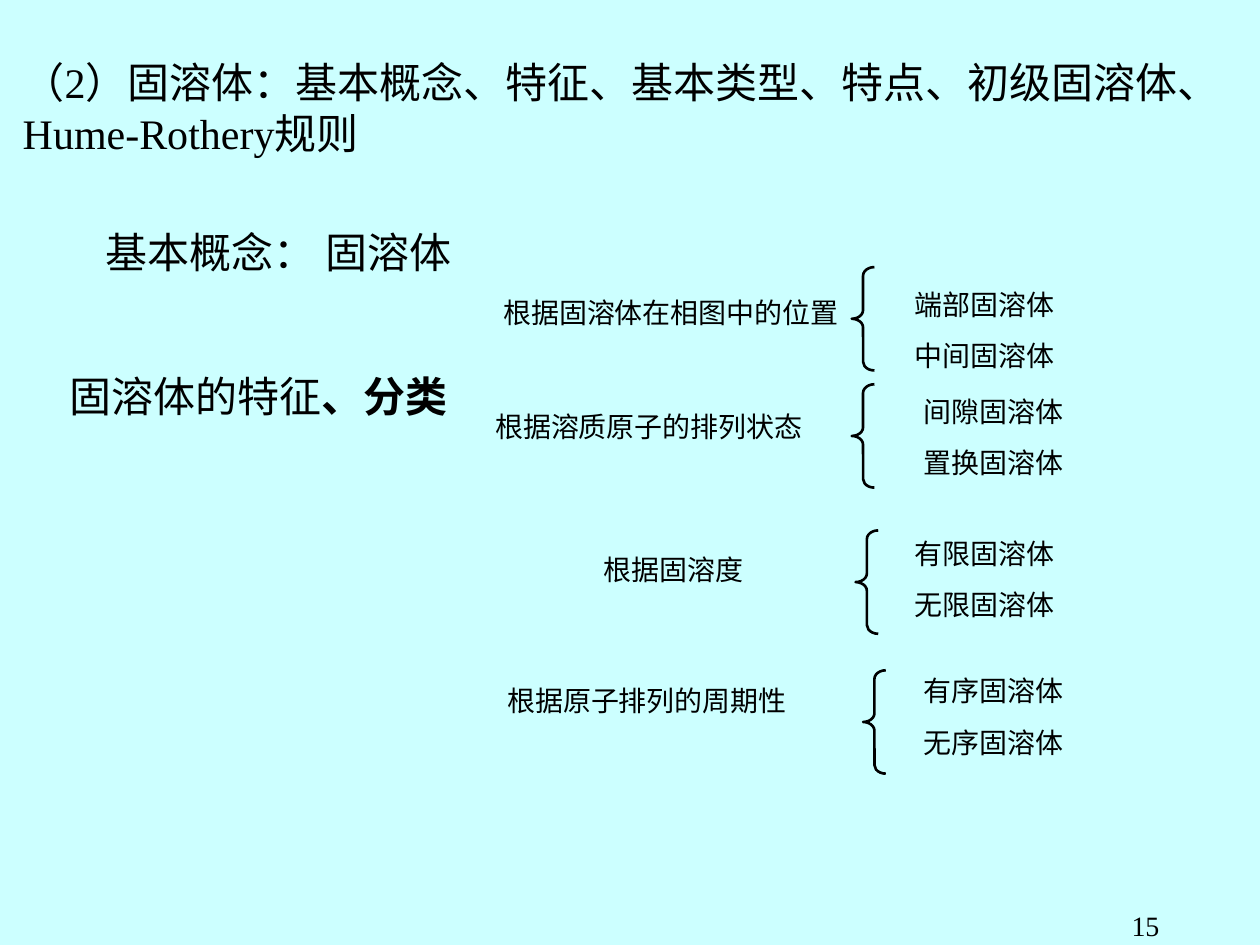
from lxml import etree
from pptx import Presentation
from pptx import util as u
from pptx.dml.color import RGBColor
from pptx.enum import shapes, text
from pptx.oxml import ns

BACKGROUND = RGBColor(0xCC, 0xFF, 0xFF)
BLACK = RGBColor(0x00, 0x00, 0x00)
SERIF = "Times New Roman"
SANS = "Noto Sans CJK SC"

HEADING = "（2）固溶体：基本概念、特征、基本类型、特点、初级固溶体、Hume-Rothery规则"
CLASSES = [
    ("根据固溶体在相图中的位置", (3.85, 2.3, 2.95), (6.76, 2.12),
     ["端部固溶体", "中间固溶体"], (6.58, 2.23, 2.47)),
    ("根据溶质原子的排列状态", (3.81, 3.2, 2.68), (6.76, 3.05),
     ["间隙固溶体", "置换固溶体"], (6.65, 3.08, 2.47)),
    ("根据固溶度", (3.85, 4.34, 2.99), (6.79, 4.21),
     ["有限固溶体", "无限固溶体"], (6.48, 4.21, 2.67)),
    ("根据原子排列的周期性", (3.65, 5.38, 2.97), (6.85, 5.32),
     ["有序固溶体", "无序固溶体"], (6.65, 5.3, 2.47)),
]


class SlideBuilder:
    def __init__(self, slide):
        self.slide = slide
        fill = slide.background.fill
        fill.solid()
        fill.fore_color.rgb = BACKGROUND

    def run(self, paragraph, words, size, font, bold=False):
        run = paragraph.add_run()
        run.text = words
        run.font.size = u.Pt(size)
        run.font.bold = bold
        run.font.color.rgb = BLACK
        run.font.name = font
        east_asian = etree.SubElement(run._r.get_or_add_rPr(), ns.qn("a:ea"))
        east_asian.set("typeface", SANS)

    def fill_frame(self, frame, paragraphs, size, font, align, before, wrap):
        frame.word_wrap = wrap
        frame.auto_size = text.MSO_AUTO_SIZE.SHAPE_TO_FIT_TEXT
        frame.vertical_anchor = text.MSO_ANCHOR.TOP
        for index, runs in enumerate(paragraphs):
            paragraph = frame.add_paragraph() if index else frame.paragraphs[0]
            paragraph.alignment = align
            paragraph.space_before = u.Pt(before)
            for words, bold in runs:
                self.run(paragraph, words, size, font, bold)

    def title(self, words, left, top, width, height):
        shape = self.slide.shapes.title
        shape.left, shape.top = u.Inches(left), u.Inches(top)
        shape.width, shape.height = u.Inches(width), u.Inches(height)
        self.fill_frame(shape.text_frame, [[(words, False)]], 24, SERIF,
                        text.PP_ALIGN.LEFT, 15, True)

    def text_box(self, paragraphs, left, top, width, height, size=24,
                 font=SERIF, align=text.PP_ALIGN.LEFT, before=0, wrap=True):
        shape = self.slide.shapes.add_textbox(
            u.Inches(left), u.Inches(top), u.Inches(width), u.Inches(height))
        self.fill_frame(shape.text_frame, paragraphs, size, font, align,
                        before, wrap)

    def label(self, lines, place, height):
        self.text_box([[(line, False)] for line in lines], *place, height,
                      size=16, font=SANS, align=text.PP_ALIGN.CENTER, before=10)

    def brace(self, left, top):
        shape = self.slide.shapes.add_shape(
            shapes.MSO_SHAPE.LEFT_BRACE, u.Inches(left), u.Inches(top),
            u.Inches(0.18), u.Inches(0.82))
        shape.shadow.inherit = False
        shape.adjustments[0] = 0.38
        shape.fill.background()
        shape.line.color.rgb = BLACK
        shape.line.width = u.Pt(1.5)


def main():
    presentation = Presentation()
    presentation.slide_width = u.Inches(10)
    presentation.slide_height = u.Inches(7.5)
    builder = SlideBuilder(
        presentation.slides.add_slide(presentation.slide_layouts[5]))

    builder.title(HEADING, 0.08, 0.4, 10.01, 0.9)
    builder.text_box([[("基本概念： 固溶体", False)]],
                     0.74, 1.75, 3.01, 0.5, wrap=False)
    builder.text_box([[("固溶体的特征", False), ("、分类", True)]],
                     0.45, 2.89, 3.2, 0.5, wrap=False)
    for criterion, criterion_place, brace_place, kinds, kinds_place in CLASSES:
        builder.label([criterion], criterion_place, 0.37)
        builder.brace(*brace_place)
        builder.label(kinds, kinds_place, 0.77)
    builder.text_box([[("15", False)]], 7.22, 7.16, 2.08, 0.5, size=16,
                     align=text.PP_ALIGN.RIGHT)

    presentation.save("out.pptx")


if __name__ == "__main__":
    main()
